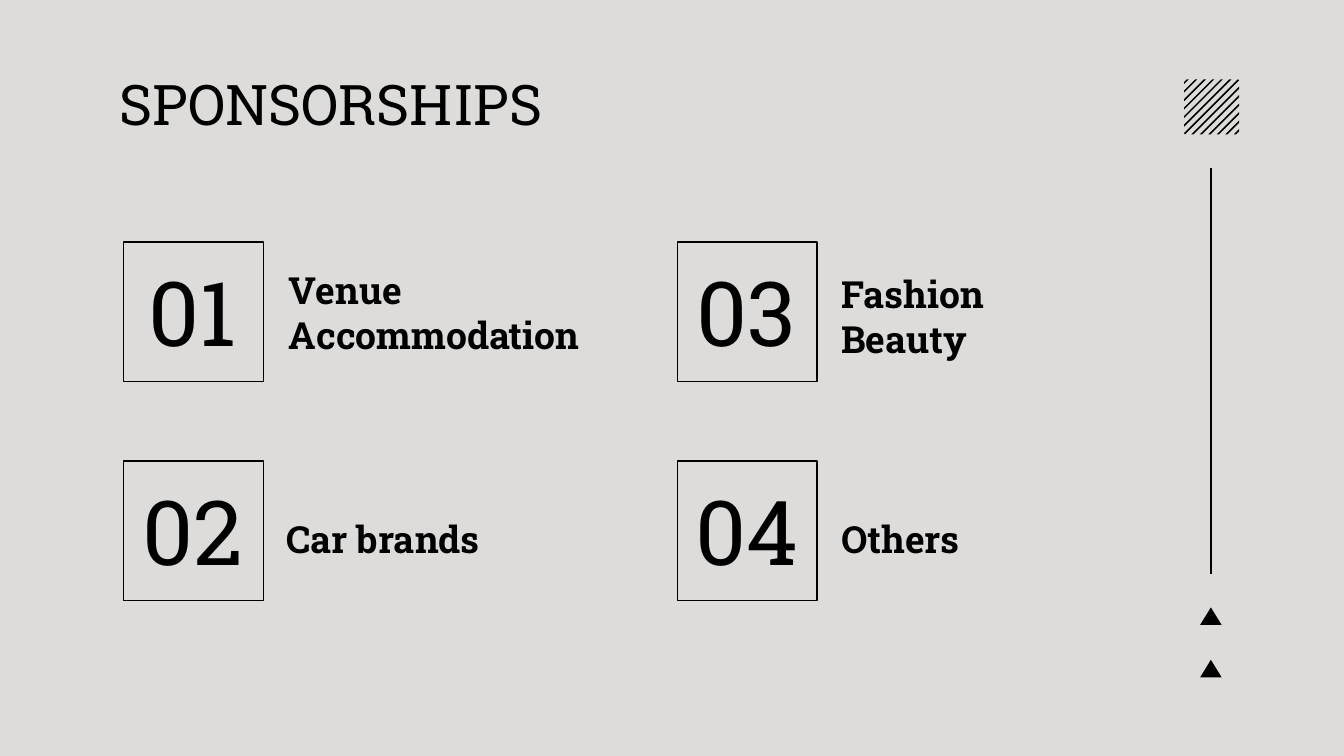
from lxml.etree import SubElement
from pptx import Presentation
from pptx.dml.color import RGBColor
from pptx.enum.shapes import MSO_CONNECTOR, MSO_SHAPE
from pptx.enum.text import MSO_ANCHOR, MSO_AUTO_SIZE, PP_ALIGN
from pptx.oxml.ns import qn
from pptx.util import Inches, Pt

COLORS = {"paper": "DDDCDA", "ink": "000000"}
FONT = "Roboto Slab"
SQUARE = 1.04

# number, label, square left and top, label offset from the square, label size
SPONSORS = [
    ("01", "Venue Accommodation", 0.92, 1.8, (1.13, 0.09), (2.58, 0.84)),
    ("02", "Car brands", 0.92, 3.43, (1.11, 0.31), (2.31, 0.41)),
    ("03", "Fashion Beauty", 5.04, 1.8, (1.12, 0.12), (1.79, 0.79)),
    ("04", "Others", 5.04, 3.43, (1.12, 0.31), (2.31, 0.41)),
]


def color(name):
    return RGBColor.from_string(COLORS[name])


def place(shape, left, top, width, height):
    shape.left, shape.top = Inches(left), Inches(top)
    shape.width, shape.height = Inches(width), Inches(height)


def write(shape, text, size, bold=False, align=PP_ALIGN.LEFT, anchor=MSO_ANCHOR.TOP):
    frame = shape.text_frame
    frame.word_wrap = True
    frame.auto_size = MSO_AUTO_SIZE.NONE
    frame.vertical_anchor = anchor
    frame.margin_left = frame.margin_right = Inches(0.1)
    frame.margin_top = frame.margin_bottom = Inches(0.1)
    paragraph = frame.paragraphs[0]
    paragraph.alignment = align
    run = paragraph.add_run()
    run.text = text
    run.font.name = FONT
    run.font.size = Pt(size)
    run.font.bold = bold
    run.font.color.rgb = color("ink")


def add_text(slide, box, text, **style):
    write(slide.shapes.add_textbox(*map(Inches, box)), text, **style)


def add_polygons(slide, polygons):
    """Draw closed outlines, given in inches, as one filled freeform."""
    outlines = [[(Inches(x), Inches(y)) for x, y in points] for points in polygons]
    builder = slide.shapes.build_freeform(*outlines[0][0])
    for index, (start, *others) in enumerate(outlines):
        if index:
            builder.move_to(*start)
        builder.add_line_segments(others, close=True)
    shape = builder.convert_to_shape()
    shape.shadow.inherit = False
    shape.fill.solid()
    shape.fill.fore_color.rgb = color("ink")
    shape.line.fill.background()


def add_hatched_square(slide, left, top, side):
    stripes = 13
    first = 0.02
    gap = (2 * side - 3 * first) / (stripes - 1)
    thickness = side / 25

    def diagonal(offset):
        near, far = max(0, offset - side), min(offset, side)
        return [(left + near, top + far), (left + far, top + near)]

    starts = [first + gap * step for step in range(stripes)]
    add_polygons(slide, [diagonal(start) + diagonal(start + thickness)[::-1]
                         for start in starts])


def add_side_ornament(slide, left, top):
    center = left + 0.2
    for apex in (top + 3.93, top + 4.32):
        add_polygons(slide, [[(center - 0.08, apex + 0.13), (center, apex),
                              (center + 0.08, apex + 0.13)]])
    stem = slide.shapes.add_connector(
        MSO_CONNECTOR.STRAIGHT, Inches(center), Inches(top + 0.66),
        Inches(center), Inches(top + 3.68))
    stem.line.color.rgb = color("ink")
    stem.line.width = Pt(0.75)
    SubElement(stem._element.spPr, qn("a:effectLst"))
    add_hatched_square(slide, left, top, 0.41)


def add_sponsor(slide, number, label, left, top, label_offset, label_size):
    square = slide.shapes.add_shape(
        MSO_SHAPE.RECTANGLE, *map(Inches, (left, top, SQUARE, SQUARE)))
    square.shadow.inherit = False
    square.fill.solid()
    square.fill.fore_color.rgb = color("paper")
    square.line.color.rgb = color("ink")
    square.line.width = Pt(0.75)
    add_text(slide, (left + 0.03, top + 0.13, 0.97, 0.77), number, size=48,
             align=PP_ALIGN.CENTER, anchor=MSO_ANCHOR.MIDDLE)
    dx, dy = label_offset
    add_text(slide, (left + dx, top + dy, *label_size), label, size=20, bold=True)


def main():
    presentation = Presentation()
    presentation.slide_width = Inches(10)
    presentation.slide_height = Inches(10) * 9 // 16
    slide = presentation.slides.add_slide(presentation.slide_layouts[5])
    slide.background.fill.solid()
    slide.background.fill.fore_color.rgb = color("paper")

    add_side_ornament(slide, 8.81, 0.59)
    place(slide.shapes.title, 0.79, 0.42, 8.43, 0.67)
    write(slide.shapes.title, "SPONSORSHIPS", size=30)
    for sponsor in SPONSORS:
        add_sponsor(slide, *sponsor)
    presentation.save("out.pptx")


if __name__ == "__main__":
    main()
